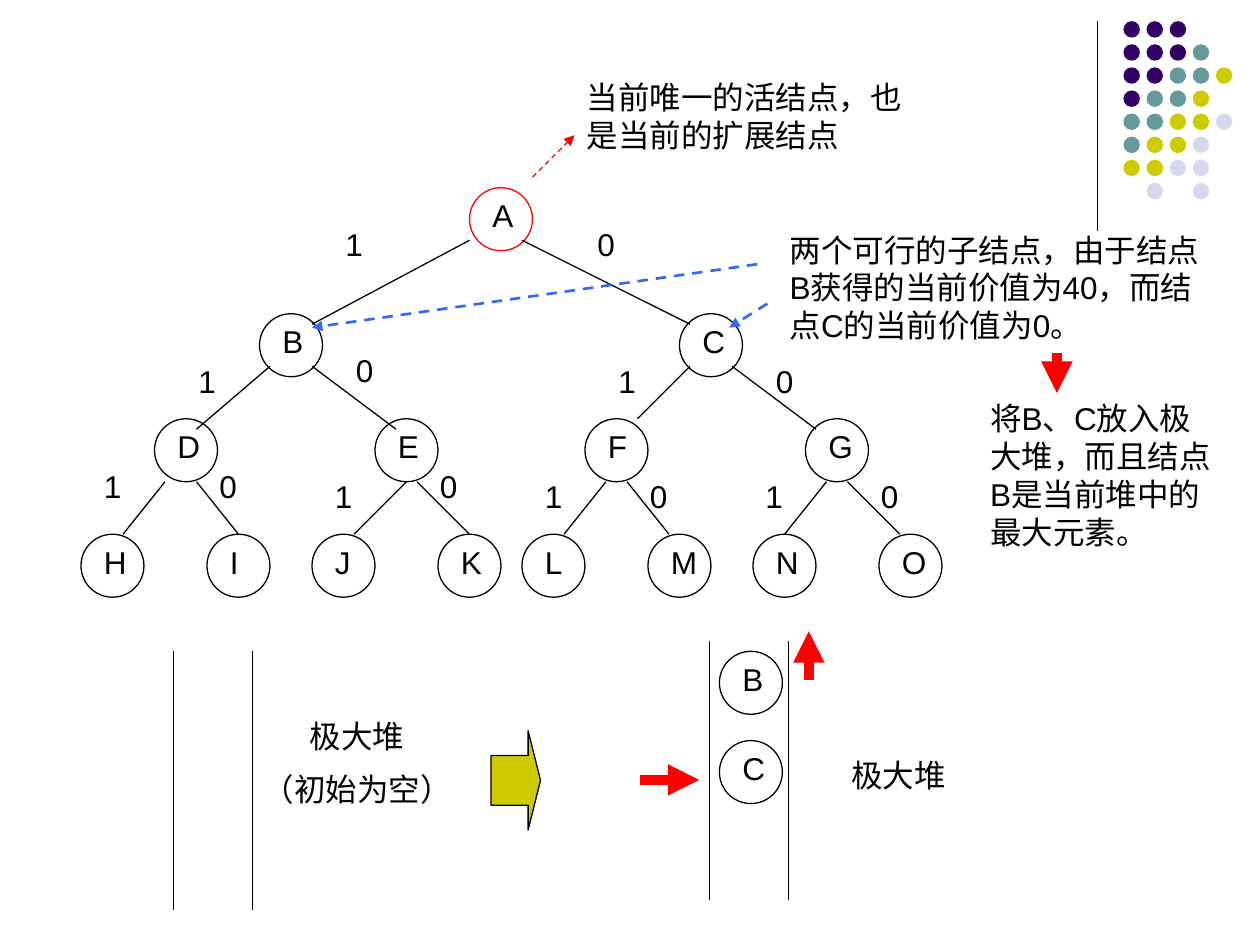
from pptx import Presentation
from pptx.dml.color import RGBColor
from pptx.enum.dml import MSO_LINE
from pptx.enum.shapes import MSO_CONNECTOR, MSO_SHAPE
from pptx.enum.text import MSO_AUTO_SIZE, PP_ALIGN
from pptx.oxml.ns import qn
from pptx.util import Pt
from lxml import etree

OVAL, ARROW = MSO_SHAPE.OVAL, MSO_SHAPE.RIGHT_ARROW
LINE, DASH = MSO_CONNECTOR.STRAIGHT, MSO_LINE.DASH
LEFT, MID = PP_ALIGN.LEFT, PP_ALIGN.CENTER
GROW = MSO_AUTO_SIZE.SHAPE_TO_FIT_TEXT

HUES = {"ink": "000000", "red": "FF0000", "blue": "3366FF",
        "plum": "330066", "teal": "669999", "lime": "CCCC00", "mist": "D8D8EC"}
FONT = {"name": "Arial", "size": Pt(18)}
FRAME = {"word_wrap": True, "auto_size": GROW}

# The tree lies on a grid of 6 points, counted from the box of node H and A.
UNIT, LEFT0, TOP0 = 6, 46.3, 107.3
DISC = 36

ROWS = {0: {"A": 37},
        12: {"B": 17, "C": 57},
        22: {"D": 7, "E": 28, "F": 48, "G": 69},
        33: {"H": 0, "I": 12, "J": 22, "K": 34,
             "L": 42, "M": 54, "N": 64, "O": 76}}
# Start row, end row, then pairs of start and end columns
EDGES = [(5, 13, [(37, 22), (42, 58)]),
         (17, 23, [(18, 11), (22, 30), (62, 70)]),
         (17, 22, [(58, 53)]),
         (28, 33, [(8, 4), (11, 15), (31, 26), (32, 37),
                   (50, 46), (52, 56), (71, 67), (73, 78)])]
MARKS = {"1": [(24, 3), (10, 16), (50, 16), (1, 26), (23, 27), (43, 27), (64, 27)],
         "0": [(48, 3), (25, 15), (65, 16), (12, 26), (33, 26), (53, 27), (75, 27)]}
DOTS = ["PPP", "PPPT", "PPTTL", "PTTL", "TTLLM", "TLLM", "LLMM", " M M"]
TONES = {"P": "plum", "T": "teal", "L": "lime", "M": "mist"}


def tint(name):
    return RGBColor.from_string(HUES[name])


def spot(col, row):
    """Turn a grid place into points."""
    return LEFT0 + UNIT * col, TOP0 + UNIT * row


class Board:
    """Holds the style and the current slide."""

    def __init__(self, slide):
        self.slide = slide
        self.shapes = slide.shapes

    def form(self, kind, x, y, w, h, fill=None, line=None):
        shape = self.shapes.add_shape(kind, Pt(x), Pt(y), Pt(w), Pt(h))
        shape.shadow.inherit = False
        if fill:
            shape.fill.solid()
            shape.fill.fore_color.rgb = tint(fill)
        else:
            shape.fill.background()
        if line:
            shape.line.color.rgb = tint(line)
            shape.line.width = Pt(0.75)
        else:
            shape.line.fill.background()
        return shape

    def text(self, x, y, w, h, *words, align=LEFT):
        frame = self.shapes.add_textbox(Pt(x), Pt(y), Pt(w), Pt(h)).text_frame
        for key, value in FRAME.items():
            setattr(frame, key, value)
        for i, word in enumerate(words):
            para = frame.add_paragraph() if i else frame.paragraphs[0]
            para.text = word
            para.alignment = align
            if i:
                para.space_before = Pt(9)
            for key, value in FONT.items():
                setattr(para.font, key, value)
            para.font.color.rgb = tint("ink")

    def node(self, word, x, y, line="ink"):
        self.form(OVAL, x, y, DISC, DISC, line=line)
        self.mark(word, x + UNIT, y + 1.3)

    def mark(self, word, x, y):
        self.text(x, y, 30, 28.8, word)

    def link(self, start, end, hue="ink", width=0.75, dash=None, head=False):
        line = self.shapes.add_connector(LINE, *map(Pt, start + end))
        line.line.color.rgb = tint(hue)
        line.line.width = Pt(width)
        if dash:
            line.line.dash_style = dash
        props = line._element.spPr
        if head:
            tail = etree.SubElement(props.find(qn("a:ln")), qn("a:tailEnd"))
            tail.set("type", "triangle")
        etree.SubElement(props, qn("a:effectLst"))

    def heap(self, x, y):
        """Draw the two walls of an open heap."""
        for wall in (x, x + 45.3):
            self.link((wall, y), (wall, y + 147.6))


def trim(board):
    board.link((627.1, 12.2), (627.1, 131.8))
    for row, line in enumerate(DOTS):
        for col, key in enumerate(line):
            if key in TONES:
                board.form(OVAL, 642 + 13.2 * col, 12.1 + 13.2 * row,
                           9.4, 9.4, fill=TONES[key])


def tree(board):
    for row, nodes in ROWS.items():
        for word, col in nodes.items():
            board.node(word, *spot(col, row), line="red" if word == "A" else "ink")
    for top, end, pairs in EDGES:
        for a, b in pairs:
            board.link(spot(a, top), spot(b, end))
    for word, places in MARKS.items():
        for place in places:
            board.mark(word, *spot(*place))


def notes(board):
    """Add the remarks beside the tree with their arrows."""
    board.link((304.3, 101.3), (328.3, 77.3), "red", dash=DASH, head=True)
    board.text(328.3, 41.3, 210, 50.4, "当前唯一的活结点，也是当前的扩展结点")
    for start, end in [((432.7, 151), (178.3, 187.2)), ((438.5, 173.5), (416.7, 187.2))]:
        board.link(start, end, "blue", 1.5, DASH, True)
    board.text(444.2, 128.2, 260, 72,
               "两个可行的子结点，由于结点B获得的当前价值为40，而结点C的当前价值为0。")
    board.link((604, 202), (604, 224.6), "red", 6, head=True)
    board.text(558.7, 224.6, 141.8, 93.6,
               "将B、C放入极大堆，而且结点B是当前堆中的最大元素。")


def heaps(board):
    board.text(133.2, 406, 141.8, 61.2, "极大堆", "（初始为空）", align=MID)
    board.heap(99.2, 372.2)
    arrow = board.form(ARROW, 280.6, 417.6, 28.3, 56.7, "lime", "ink")
    arrow.adjustments[0], arrow.adjustments[1] = 0.5, 0.25
    board.link((365.8, 445.7), (399.6, 445.7), "red", 6, head=True)
    board.link((462.2, 388.8), (462.2, 360.7), "red", 6, head=True)
    board.text(468, 428.4, 90.7, 28.8, "极大堆", align=MID)
    board.heap(405.4, 366.5)
    for word, y in (("B", 372.2), ("C", 423.2)):
        board.node(word, 411.1, y)


def main():
    deck = Presentation()
    deck.slide_width, deck.slide_height = Pt(720), Pt(540)
    board = Board(deck.slides.add_slide(deck.slide_layouts[6]))
    for part in (trim, tree, notes, heaps):
        part(board)
    deck.save("out.pptx")


if __name__ == "__main__":
    main()
